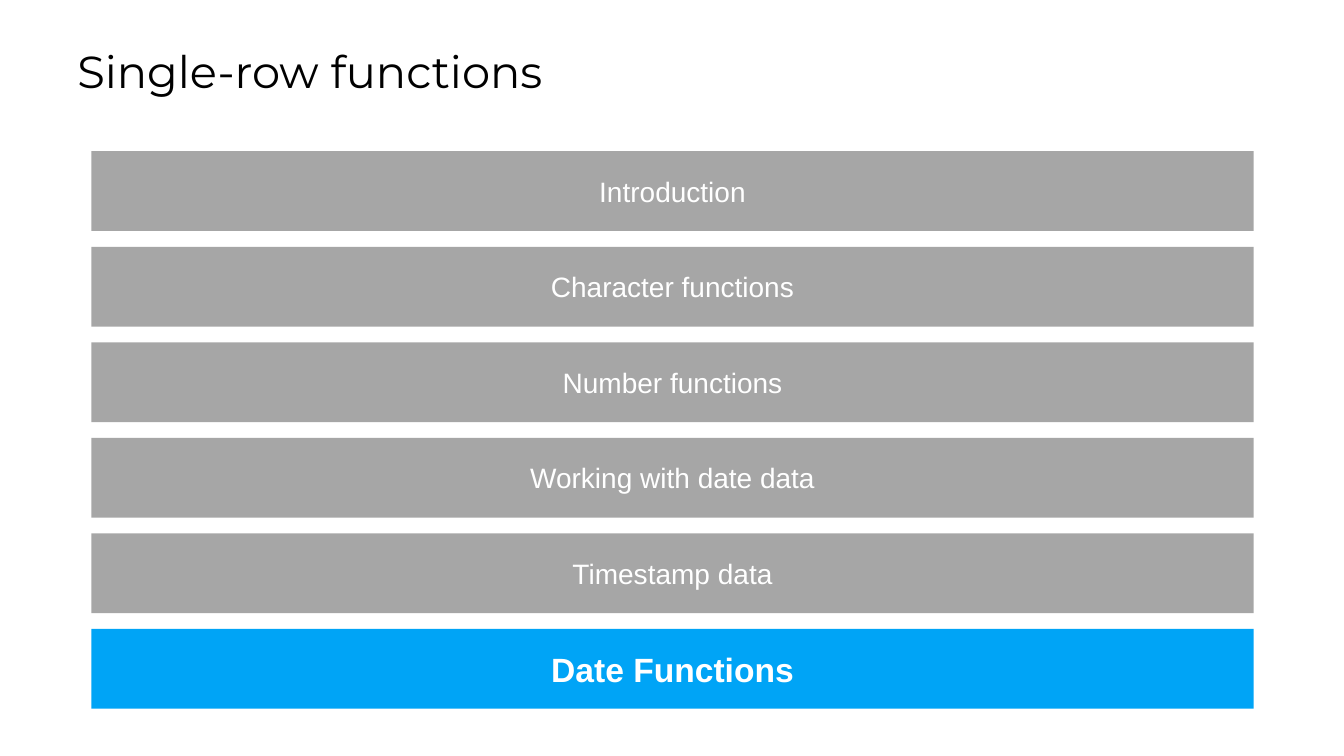
import pptx
import pptx.dml.color
import pptx.enum.shapes
import pptx.enum.text
import pptx.util

RGBColor = pptx.dml.color.RGBColor
PP_ALIGN = pptx.enum.text.PP_ALIGN
MSO_ANCHOR = pptx.enum.text.MSO_ANCHOR

PX = 9525
BLACK = RGBColor(0x00, 0x00, 0x00)
WHITE = RGBColor(0xFF, 0xFF, 0xFF)
GRAY = RGBColor(0xA6, 0xA6, 0xA6)
BLUE = RGBColor(0x00, 0xA4, 0xF6)

TOPICS = [
    "Introduction",
    "Character functions",
    "Number functions",
    "Working with date data",
    "Timestamp data",
    "Date Functions",
]
CURRENT = "Date Functions"


def px(n):
    return pptx.util.Emu(n * PX)


def write(tf, text, font, size, color, align, bold=False):
    tf.word_wrap = True
    tf.vertical_anchor = MSO_ANCHOR.MIDDLE
    p = tf.paragraphs[0]
    p.text = text
    p.alignment = align
    p.font.name = font
    p.font.size = pptx.util.Pt(size)
    p.font.bold = bold
    p.font.color.rgb = color


def add_title(slide, text, x, y, w, h):
    sp = slide.shapes.title
    sp.left, sp.top, sp.width, sp.height = px(x), px(y), px(w), px(h)
    write(sp.text_frame, text, "Montserrat", 32, BLACK, PP_ALIGN.LEFT)
    sp.text_frame.auto_size = pptx.enum.text.MSO_AUTO_SIZE.SHAPE_TO_FIT_TEXT


def add_agenda(slide, topics, current, x, y, w, bar_h, gap):
    for i, topic in enumerate(topics):
        active = topic == current
        sp = slide.shapes.add_shape(
            pptx.enum.shapes.MSO_SHAPE.RECTANGLE,
            px(x), px(y + i * (bar_h + gap)), px(w), px(bar_h))
        sp.shadow.inherit = False
        sp.fill.solid()
        sp.fill.fore_color.rgb = BLUE if active else GRAY
        sp.line.fill.background()
        write(sp.text_frame, topic, "Arial", 24 if active else 20, WHITE,
              PP_ALIGN.CENTER, active)


def main():
    prs = pptx.Presentation()
    prs.slide_width, prs.slide_height = px(1280), px(720)
    slide = prs.slides.add_slide(prs.slide_layouts[5])
    add_title(slide, "Single-row functions", 64, 37, 1158, 61)
    add_agenda(slide, TOPICS, CURRENT, 87, 144, 1107, 76, 15)
    prs.save("out.pptx")


if __name__ == "__main__":
    main()
